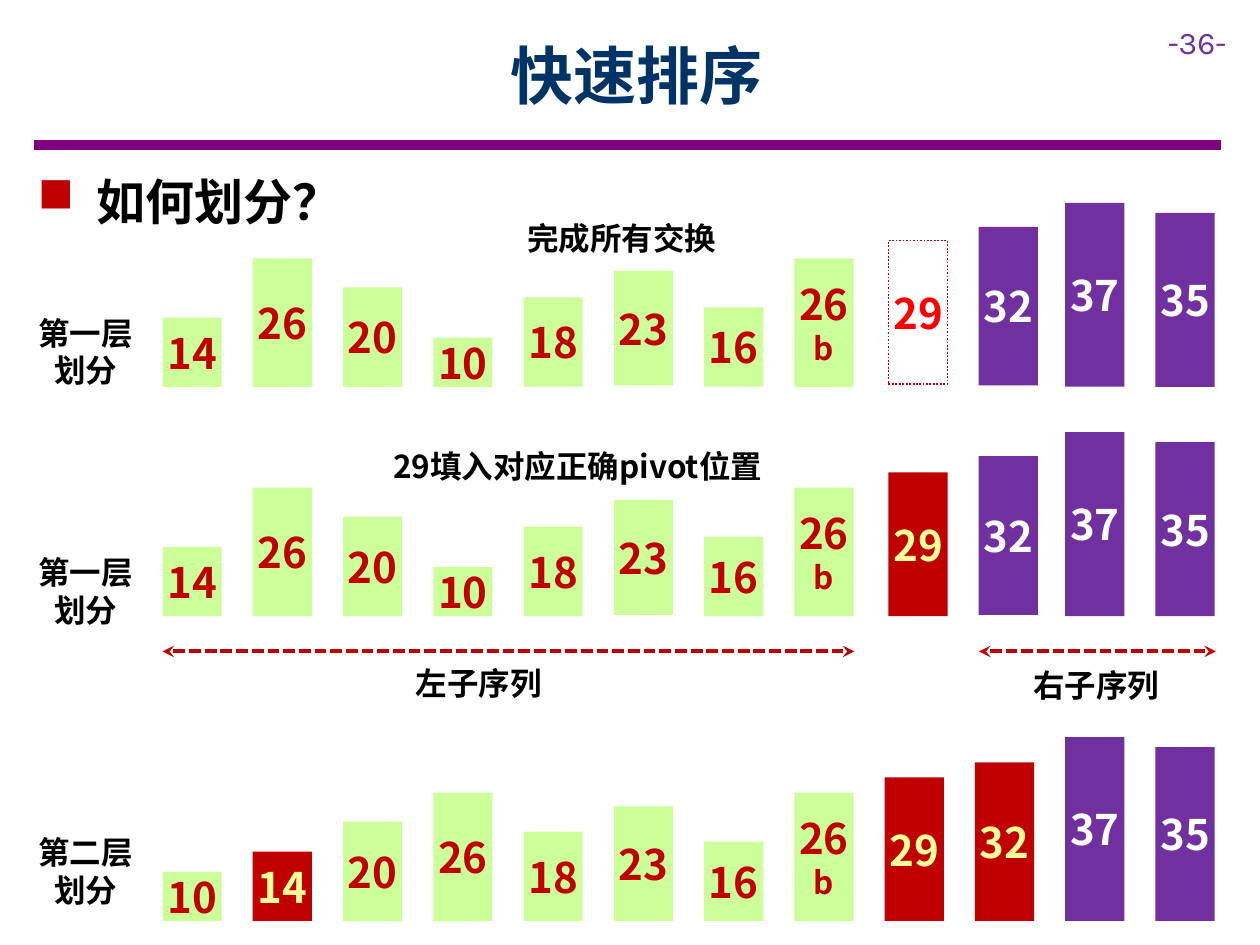
"""Build the quicksort partition slide with three rows of value bars."""
from dataclasses import dataclass

from lxml import etree
from pptx import Presentation
from pptx.dml.color import RGBColor
from pptx.enum.dml import MSO_LINE
from pptx.enum.shapes import MSO_CONNECTOR, MSO_SHAPE
from pptx.enum.text import MSO_ANCHOR, MSO_AUTO_SIZE, PP_ALIGN
from pptx.oxml.ns import qn
from pptx.util import Pt

EMU_PER_PX = 9144
CJK_FONT = "Noto Sans CJK SC"
PAGE_FONT = "Karla"
LEFT, CENTER = PP_ALIGN.LEFT, PP_ALIGN.CENTER
MIDDLE = MSO_ANCHOR.MIDDLE
GROW, FIXED = MSO_AUTO_SIZE.SHAPE_TO_FIT_TEXT, MSO_AUTO_SIZE.NONE
DOTTED, DASHED = MSO_LINE.ROUND_DOT, MSO_LINE.SQUARE_DOT
RECTANGLE, STRAIGHT = MSO_SHAPE.RECTANGLE, MSO_CONNECTOR.STRAIGHT

BLACK, RED, PURPLE = "000000", "C00000", "7030A0"
FIRST_LEFT, COLUMN_STEP, BAR_WIDTH, PX_PER_UNIT = 129, 71.64, 47, 3.94


@dataclass(frozen=True)
class Style:
    """Colours of a bar; an empty fill means a dotted outline."""
    fill: str
    text: str


@dataclass(frozen=True)
class Bar:
    """One value in a row, with small offsets from the grid."""
    value: int
    style: Style
    suffix: str = ""
    shift: int = 0
    lift: int = 0


@dataclass(frozen=True)
class Row:
    """A row of bars on a common baseline, with its side label."""
    label: str
    label_top: int
    baseline: int
    bars: list[Bar]


@dataclass(frozen=True)
class Label:
    """A text box with one or more lines."""
    lines: list[str]
    left: int
    top: int
    width: int
    height: int
    align: PP_ALIGN = CENTER
    wrap: bool = True
    size: int = 18
    color: str = BLACK
    font: str = CJK_FONT
    bold: bool = True


SMALLER = Style("CCFF99", RED)
LARGER = Style(PURPLE, "FFFFFF")
PIVOT = Style(RED, "FFFF99")
VACANT = Style("", "FF0000")

LOW_BARS = [Bar(14, SMALLER), Bar(26, SMALLER), Bar(20, SMALLER), Bar(10, SMALLER),
            Bar(18, SMALLER), Bar(23, SMALLER, lift=1), Bar(16, SMALLER),
            Bar(26, SMALLER, "b")]
TOP_BARS = [Bar(37, LARGER), Bar(35, LARGER)]
HIGH_BARS = [Bar(32, LARGER, shift=3, lift=1), *TOP_BARS]

ROWS = [
    Row("第一层", 244, 307, [*LOW_BARS, Bar(29, VACANT, shift=3, lift=2), *HIGH_BARS]),
    Row("第一层", 434, 489, [*LOW_BARS, Bar(29, PIVOT, shift=3), *HIGH_BARS]),
    Row("第二层", 656, 731, [
        Bar(10, SMALLER), Bar(14, PIVOT), Bar(20, SMALLER), Bar(26, SMALLER),
        Bar(18, SMALLER), Bar(23, SMALLER), Bar(16, SMALLER), Bar(26, SMALLER, "b"),
        Bar(29, PIVOT), Bar(32, PIVOT), *TOP_BARS]),
]

LABELS = [
    Label(["-36-"], 917, 13, 83, 40, LEFT, color=PURPLE, font=PAGE_FONT, bold=False),
    Label(["左子序列"], 320, 522, 121, 40, LEFT, wrap=False),
    Label(["右子序列"], 810, 524, 121, 40, LEFT, wrap=False),
    Label(["完成所有交换"], 350, 169, 287, 40),
    Label(["29填入对应正确pivot位置"], 286, 350, 345, 40),
]


def px(length: float) -> int:
    """Convert px to EMU."""
    return round(length * EMU_PER_PX)


def rgb(color: str) -> RGBColor:
    """Turn a hex string into a colour."""
    return RGBColor.from_string(color)


def add_run(paragraph, text: str, size: int, color: str,
            font: str = CJK_FONT, bold: bool = True) -> None:
    """Add a formatted run, using the font for all scripts."""
    run = paragraph.add_run()
    run.text = text
    run.font.size = Pt(size)
    run.font.bold = bold
    run.font.name = font
    run.font.color.rgb = rgb(color)
    latin = run._r.get_or_add_rPr().find(qn("a:latin"))
    east_asian = etree.Element(qn("a:ea"), typeface=font)
    latin.addnext(east_asian)


def add_label(slide, label: Label):
    """Draw a text box and return its first paragraph."""
    shape = slide.shapes.add_textbox(
        px(label.left), px(label.top), px(label.width), px(label.height))
    frame = shape.text_frame
    frame.word_wrap = label.wrap
    frame.auto_size = GROW
    for index, line in enumerate(label.lines):
        paragraph = frame.add_paragraph() if index else frame.paragraphs[0]
        paragraph.alignment = label.align
        add_run(paragraph, line, label.size, label.color, label.font, label.bold)
    return frame.paragraphs[0]


def add_bar(slide, bar: Bar, column: int, baseline: int) -> None:
    """Draw a bar whose height follows its value."""
    height = round(bar.value * PX_PER_UNIT)
    left = FIRST_LEFT + column * COLUMN_STEP + bar.shift
    shape = slide.shapes.add_shape(RECTANGLE, px(left), px(baseline - bar.lift - height),
                                   px(BAR_WIDTH), px(height))
    shape.shadow.inherit = False
    if bar.style.fill:
        shape.fill.solid()
        shape.fill.fore_color.rgb = rgb(bar.style.fill)
        shape.line.fill.background()
    else:
        shape.fill.background()
        shape.line.color.rgb = rgb(RED)
        shape.line.width = Pt(1)
        shape.line.dash_style = DOTTED
    frame = shape.text_frame
    frame.word_wrap = True
    frame.vertical_anchor = MIDDLE
    frame.margin_left = frame.margin_right = 0
    frame.margin_top = frame.margin_bottom = px(10)
    paragraph = frame.paragraphs[0]
    paragraph.alignment = CENTER
    add_run(paragraph, str(bar.value), 24, bar.style.text)
    if bar.suffix:
        paragraph = frame.add_paragraph()
        paragraph.alignment = CENTER
        add_run(paragraph, bar.suffix, 18, bar.style.text)


def add_rule(slide, start: int, end: int, top: int, color: str, width: float):
    """Draw a horizontal line without a shadow."""
    rule = slide.shapes.add_connector(STRAIGHT, px(start), px(top), px(end), px(top))
    rule.line.color.rgb = rgb(color)
    rule.line.width = Pt(width)
    etree.SubElement(rule.element.spPr, qn("a:effectLst"))
    return rule


def add_range_arrow(slide, start: int, end: int) -> None:
    """Draw a dashed double arrow under a subsequence."""
    arrow = add_rule(slide, start, end, 517, RED, 2.25)
    arrow.line.dash_style = DASHED
    outline = arrow.element.spPr.find(qn("a:ln"))
    for tag in ("a:headEnd", "a:tailEnd"):
        etree.SubElement(outline, qn(tag), type="stealth")


def set_title(slide) -> None:
    """Place and format the title placeholder."""
    title = slide.shapes.title
    title.left, title.top, title.width, title.height = px(90), px(9), px(831), px(100)
    frame = title.text_frame
    frame.auto_size = FIXED
    frame.vertical_anchor = MIDDLE
    frame.paragraphs[0].alignment = CENTER
    add_run(frame.paragraphs[0], "快速排序", 36, "003366")


def add_question(slide) -> None:
    """Draw the bulleted question."""
    paragraph = add_label(slide, Label([" 如何划分？"], 20, 131, 954, 57, LEFT, size=28))
    paragraph.space_after = Pt(6)
    properties = paragraph._p.get_or_add_pPr()
    properties.set("marL", str(px(38)))
    properties.set("indent", str(px(-38)))
    bullet_color = etree.SubElement(properties, qn("a:buClr"))
    etree.SubElement(bullet_color, qn("a:srgbClr"), val=RED)
    etree.SubElement(properties, qn("a:buChar"), char="■")


def main() -> None:
    """Assemble and save the slide."""
    presentation = Presentation()
    presentation.slide_width, presentation.slide_height = px(1000), px(750)
    slide = presentation.slides.add_slide(presentation.slide_layouts[5])
    add_rule(slide, 27, 969, 115, "800080", 6)
    set_title(slide)
    add_question(slide)
    for row in ROWS:
        for column, bar in enumerate(row.bars):
            add_bar(slide, bar, column, row.baseline)
        add_label(slide, Label([row.label, "划分"], 20, row.label_top, 96, 71, wrap=False))
    for start, end in ((129, 678), (777, 965)):
        add_range_arrow(slide, start, end)
    for label in LABELS:
        add_label(slide, label)
    presentation.save("out.pptx")


if __name__ == "__main__":
    main()
